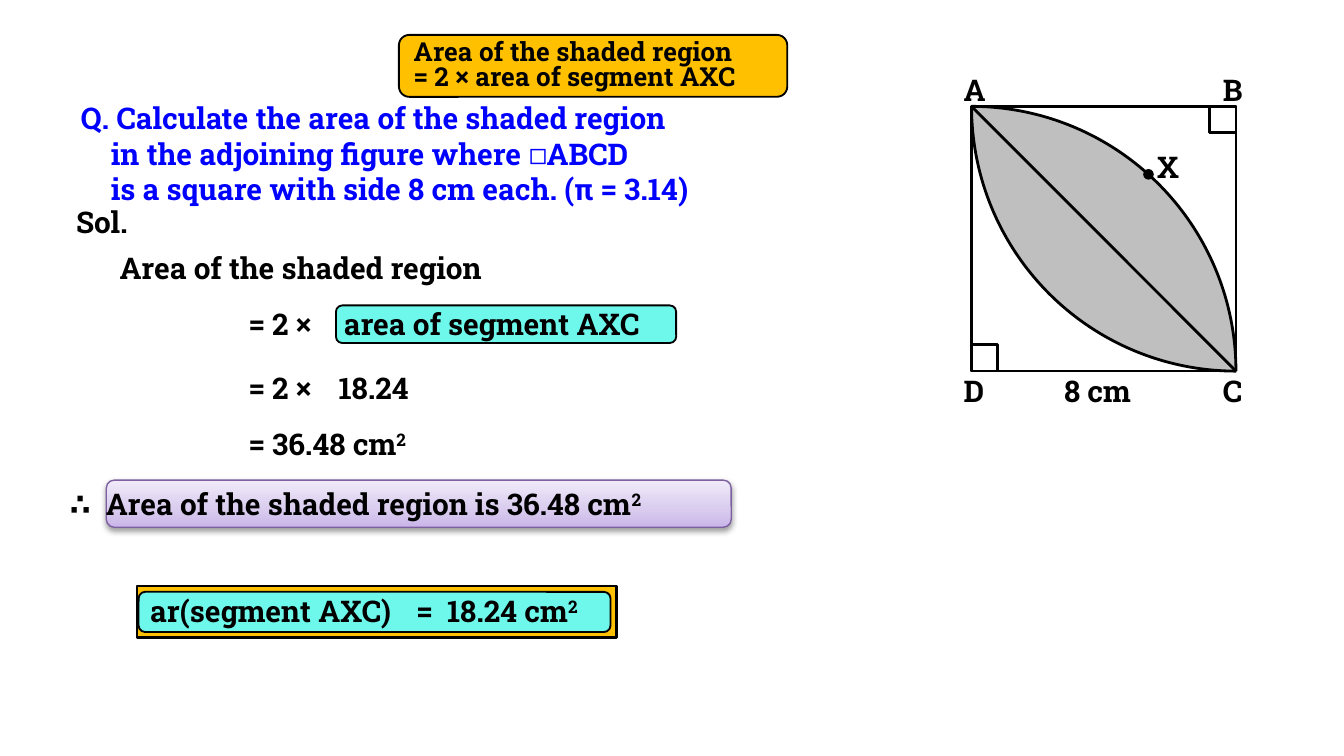
import math

import pptx
import pptx.util
import pptx.dml.color
import pptx.enum.dml
import pptx.enum.shapes
import pptx.enum.text
import pptx.oxml

Cm, Pt = pptx.util.Cm, pptx.util.Pt
MSO = pptx.enum.shapes.MSO_SHAPE
NS = 'xmlns:a="http://schemas.openxmlformats.org/drawingml/2006/main"'
FONT, LINE_H = "Roboto Slab", 0.94
BLACK, BLUE, GREY, AMBER, AQUA = "000000", "0000FF", "BFBFBF", "FFC000", "6EF8EB"

# Content: positions in cm, ^ marks a superscript
QUESTION = ["Q. Calculate the area of the shaded region",
            "in the adjoining figure where ◻ABCD",
            "is a square with side 8 cm each. (π = 3.14)"]
BANNER = ["Area of the shaded region", "= 2 × area of segment AXC"]
CONCLUSION = "∴\tArea of the shaded region is 36.48 cm^2"
SOLUTION = [  # text, left, top, width
    ("Sol.", 1.19, 3.73, 1.63),
    ("Area of the shaded region", 2.01, 4.6, 8.13),
    ("area of segment AXC", 6.25, 5.64, 6.71),
    ("= 2 ×", 4.45, 5.64, 1.98),
    ("= 2 ×", 4.45, 6.86, 1.98),
    ("18.24", 6.15, 6.86, 2.24),
    ("= 36.48 cm^2", 4.45, 7.92, 4.11),
    ("=", 7.62, 11.07, 0.86),
    ("18.24 cm^2", 8.2, 11.07, 3.71),
    ("ar(segment AXC)", 2.59, 11.07, 5.46),
]
PANELS = [  # shape, left, top, width, height, fill, line width
    (MSO.RECTANGLE, 2.59, 11.07, 9.07, 0.97, AMBER, 1.5),
    (MSO.ROUNDED_RECTANGLE, 2.62, 11.18, 8.92, 0.76, AQUA, 1),
    (MSO.ROUNDED_RECTANGLE, 6.35, 5.77, 6.43, 0.71, AQUA, 1),
    (MSO.ROUNDED_RECTANGLE, 7.54, 0.66, 7.34, 1.17, AMBER, 1),
]
GRADIENT = [(0, "C9B5E8"), (35, "D8CBEE"), (100, "F0EAF9")]

# Square ABCD
LEFT, TOP, SIDE, MARK = 18.36, 2.01, 5, 0.5
RIGHT, BOTTOM = LEFT + SIDE, TOP + SIDE
LABELS = [("A", 17.96, 1.22, 0.91), ("B", 22.86, 1.22, 0.91),
          ("C", 22.86, 6.91, 0.94), ("D", 17.96, 6.91, 0.97),
          ("8 cm", 19.86, 6.91, 1.98)]


def rgb(value):
    return pptx.dml.color.RGBColor.from_string(value)


def paint(sp, fill=None, line=None, width=1.5):
    sp.shadow.inherit = False
    if fill:
        sp.fill.solid()
        sp.fill.fore_color.rgb = rgb(fill)
    else:
        sp.fill.background()
    if line:
        sp.line.color.rgb = rgb(line)
        sp.line.width = Pt(width)
    else:
        sp.line.fill.background()


def shape(shapes, kind, x, y, w, h, fill=None, line=BLACK, width=1.5):
    sp = shapes.add_shape(kind, Cm(x), Cm(y), Cm(w), Cm(h))
    paint(sp, fill, line, width)
    return sp


def write(sp, lines, size=16, color=BLACK, wrap=False, spacing=None):
    tf = sp.text_frame
    tf.word_wrap = wrap
    tf.auto_size = pptx.enum.text.MSO_AUTO_SIZE.SHAPE_TO_FIT_TEXT
    tf.vertical_anchor = pptx.enum.text.MSO_ANCHOR.TOP
    for i, line in enumerate(lines):
        p = tf.paragraphs[0] if i == 0 else tf.add_paragraph()
        base, _, power = line.partition("^")
        p.text = base
        p.alignment = pptx.enum.text.PP_ALIGN.LEFT
        if spacing:
            p.line_spacing = spacing
        if power:
            r = p.add_run()
            r.text = power
            r._r.get_or_add_rPr().set("baseline", "30000")
        for r in p.runs:
            r.font.name, r.font.size, r.font.bold = FONT, Pt(size), True
            r.font.color.rgb = rgb(color)
    return tf


def label(shapes, lines, x, y, w, h=LINE_H, **style):
    return write(shapes.add_textbox(Cm(x), Cm(y), Cm(w), Cm(h)), lines, **style)


def indent(p, margin, first=0):
    pPr = p._p.get_or_add_pPr()
    pPr.set("marL", str(Cm(margin)))
    pPr.set("indent", str(Cm(first)))


def on_arc(cx, cy, degrees):
    a = math.radians(degrees)
    return cx + SIDE * math.cos(a), cy - SIDE * math.sin(a)


prs = pptx.Presentation()
prs.slide_width, prs.slide_height = Cm(25.4), Cm(14.28)
s = prs.slides.add_slide(prs.slide_layouts[5])

# Question
title = s.shapes.title
title.left, title.top, title.width, title.height = Cm(1.27), Cm(1.75), Cm(13.94), Cm(2.31)
tf = write(title, QUESTION, color=BLUE)
for p in tf.paragraphs[1:]:
    indent(p, 0.57)

# Shaded segments, one around D and one around B
for cx, cy, start in [(LEFT, BOTTOM, 0), (RIGHT, TOP, 180)]:
    points = [tuple(map(Cm, on_arc(cx, cy, start + d))) for d in range(0, 91, 3)]
    fb = s.shapes.build_freeform(*points[0])
    fb.add_line_segments(points[1:], close=True)
    paint(fb.convert_to_shape(), GREY)

# Square, arcs, diagonal and right-angle marks
fig = s.shapes.add_group_shape().shapes
shape(fig, MSO.ARC, LEFT - SIDE, TOP, 2 * SIDE, 2 * SIDE)
shape(fig, MSO.ARC, LEFT, TOP - SIDE, 2 * SIDE, 2 * SIDE).rotation = 180
shape(fig, MSO.RECTANGLE, LEFT, TOP, SIDE, SIDE)
diagonal = fig.add_connector(pptx.enum.shapes.MSO_CONNECTOR.STRAIGHT,
                             Cm(LEFT), Cm(TOP), Cm(RIGHT), Cm(BOTTOM))
diagonal.line.color.rgb = rgb(BLACK)
diagonal.line.width = Pt(1.5)
diagonal._element.spPr.append(pptx.oxml.parse_xml(f"<a:effectLst {NS}/>"))
for x, y in [(RIGHT - MARK, TOP), (LEFT, BOTTOM - MARK)]:
    shape(fig, MSO.RECTANGLE, x, y, MARK, MARK)
for text, x, y, w in LABELS:
    label(fig, [text], x, y, w)

# Point X on the arc around D
x, y = on_arc(LEFT, BOTTOM, 48)
shape(s.shapes, MSO.OVAL, x - 0.1, y - 0.1, 0.2, 0.2, BLACK, None)
label(s.shapes, ["X"], 21.62, 2.69, 0.97)

# Coloured panels
for kind, x, y, w, h, fill, width in PANELS:
    shape(s.shapes, kind, x, y, w, h, fill, width=width)
label(s.shapes, BANNER, 7.57, 0.66, 7.37, 1.22, size=14, spacing=0.8)

# Conclusion panel with gradient and soft shadow
panel = shape(s.shapes, MSO.ROUNDED_RECTANGLE, 2.01, 9.07, 11.81, 0.89,
              line="7D60A0", width=0.75)
stops = "".join(f'<a:gs pos="{pos * 1000}"><a:srgbClr val="{c}"/></a:gs>' for pos, c in GRADIENT)
spPr = panel._element.spPr
spPr.replace(spPr.find(pptx.oxml.ns.qn("a:noFill")), pptx.oxml.parse_xml(
    f'<a:gradFill {NS} rotWithShape="1"><a:gsLst>{stops}</a:gsLst>'
    '<a:lin ang="16200000" scaled="0"/></a:gradFill>'))
spPr.find(pptx.oxml.ns.qn("a:effectLst")).append(pptx.oxml.parse_xml(
    f'<a:outerShdw {NS} blurRad="40000" dist="20000" dir="5400000" rotWithShape="0">'
    '<a:srgbClr val="000000"><a:alpha val="38000"/></a:srgbClr></a:outerShdw>'))

# Solution text
for text, x, y, w in SOLUTION:
    label(s.shapes, [text], x, y, w)
tf = label(s.shapes, [CONCLUSION], 1.07, 9.04, 15.95, wrap=True)
indent(tf.paragraphs[0], 0.68, -0.68)

prs.save("out.pptx")
